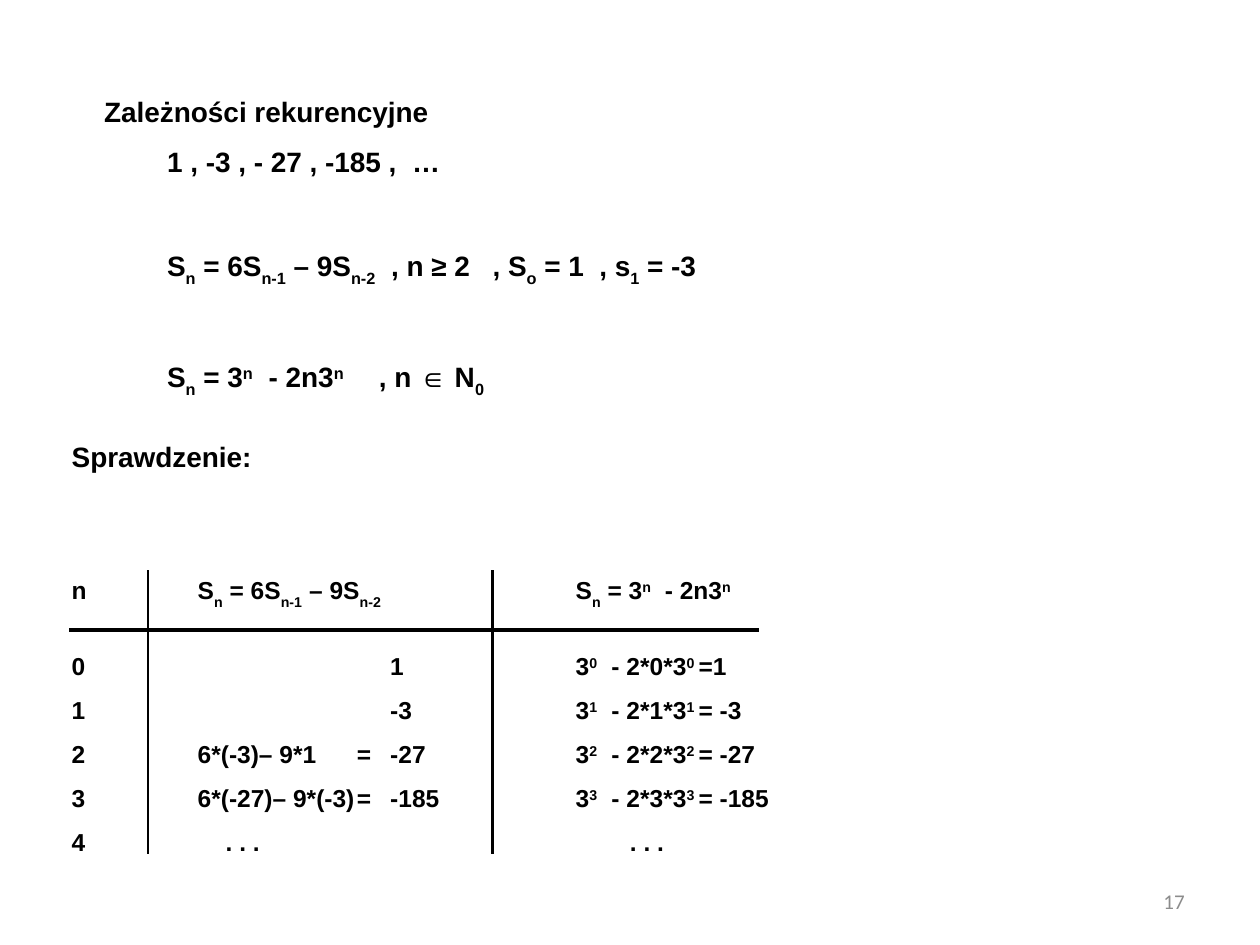
from dataclasses import dataclass

from lxml.etree import SubElement
from pptx import Presentation
from pptx.dml.color import RGBColor
from pptx.enum.shapes import MSO_CONNECTOR
from pptx.enum.text import MSO_ANCHOR, PP_ALIGN
from pptx.oxml.ns import qn
from pptx.util import Pt


@dataclass(frozen=True)
class Theme:
    ink: str = "000000"
    gray: str = "8C8C8C"
    font: str = "Arial"
    foot: str = "Calibri"
    large: float = 16
    cell: float = 14
    small: float = 12
    thin: float = 1.5
    thick: float = 2


THEME = Theme()
SHIFT = {"_": "-30000", "^": "30000"}


def write(frame, text, size=THEME.large, font=THEME.font, color=THEME.ink,
          bold=True, align=PP_ALIGN.LEFT, before=0, indent=0, tabs=()):
    para = frame.paragraphs[0]
    if para.runs:
        para = frame.add_paragraph()
    para.alignment = align
    para.space_before = Pt(before)
    props = para._p.get_or_add_pPr()
    if indent:
        props.set("marL", str(Pt(indent)))
        props.set("indent", "0")
    if tabs:
        stops = SubElement(props, qn("a:tabLst"))
        for stop in tabs:
            SubElement(stops, qn("a:tab"), pos=str(Pt(stop)), algn="l")
    for i, part in enumerate(text.split("|")):
        if not part:
            continue
        run = para.add_run()
        run.text = part[1:] if i % 2 else part
        run.font.size = Pt(size)
        run.font.name = font
        run.font.bold = bold
        run.font.color.rgb = RGBColor.from_string(color)
        if i % 2:
            run._r.get_or_add_rPr().set("baseline", SHIFT[part[0]])


def add_frame(slide, box, anchor=MSO_ANCHOR.TOP):
    frame = slide.shapes.add_textbox(*map(Pt, box)).text_frame
    frame.word_wrap = True
    frame.margin_left = frame.margin_right = 0
    frame.margin_top = frame.margin_bottom = 0
    frame.vertical_anchor = anchor
    return frame


def add_title(slide, box, text):
    write(add_frame(slide, box), text)


def add_rules(slide, box):
    frame = add_frame(slide, box)
    write(frame, "1 , -3 , - 27 , -185 ,\t…", tabs=(140,))
    write(frame, "S|_n| = 6S|_n-1| – 9S|_n-2|\t, n ≥ 2\t, S|_o| = 1\t, s|_1| = -3",
          before=40.3, tabs=(128, 186, 247))
    write(frame, "S|_n| = 3|^n|\t- 2n3|^n|\t, n ∈ N|_0|",
          before=41, tabs=(58, 121))


def add_line(slide, ends, width):
    line = slide.shapes.add_connector(MSO_CONNECTOR.STRAIGHT, *map(Pt, ends))
    line.line.color.rgb = RGBColor.from_string(THEME.ink)
    line.line.width = Pt(width)
    SubElement(line._element.spPr, qn("a:effectLst"))


def add_check(slide, box):
    left, top, width, height = box
    sums = ("\t\t1", "\t\t-3", "6*(-3)– 9*1\t=\t-27", "6*(-27)– 9*(-3)\t=\t-185")
    ends = ("=1", "= -3", "= -27", "= -185")
    rows = [("n", "S|_n| = 6S|_n-1| – 9S|_n-2|", "S|_n| = 3|^n|\t- 2n3|^n|")]
    rows += [(str(n), step, f"3|^{n}|\t- 2*{n}*3|^{n} |{end}")
             for n, (step, end) in enumerate(zip(sums, ends))]
    rows.append(("4", ". . .", ". . ."))

    grid = slide.shapes.add_table(len(rows), 3, *map(Pt, box)).table
    grid.first_row = grid.horz_banding = False
    for col, wide in zip(grid.columns, (45, 197, width - 242)):
        col.width = Pt(wide)
    for r, row in enumerate(rows):
        grid.rows[r].height = Pt((34, 34.5)[r] if r < 2 else 25.2)
        for c, text in enumerate(row):
            cell = grid.cell(r, c)
            cell.margin_left = Pt((1.5, 28.5, 47.5)[c])
            cell.margin_top = Pt(13.5 if r == 1 else 4)
            cell.margin_right = cell.margin_bottom = 0
            cell.fill.background()
            tabs = ((), (91, 110), (51,) if r == 0 else (20.5,))[c]
            indent = (0, 16, 31)[c] if r == len(rows) - 1 else 0
            write(cell.text_frame, text, size=THEME.cell, indent=indent,
                  tabs=() if indent else tabs)

    for x in (left + 45, left + 242):
        add_line(slide, (x, top, x, top + 162), THEME.thin)
    add_line(slide, (left, top + 34, left + 394, top + 34), THEME.thick)


def add_foot(slide, box, text):
    write(add_frame(slide, box, MSO_ANCHOR.MIDDLE), text, size=THEME.small,
          font=THEME.foot, color=THEME.gray, bold=False, align=PP_ALIGN.RIGHT)


def main():
    deck = Presentation()
    deck.slide_width, deck.slide_height = Pt(720), Pt(540)
    slide = deck.slides.add_slide(deck.slide_layouts[6])
    add_title(slide, (59.5, 54, 540, 20), "Zależności rekurencyjne")
    add_rules(slide, (95.5, 82.4, 504, 145))
    add_title(slide, (41, 251, 150, 20), "Sprawdzenie:")
    add_check(slide, (39.5, 326, 410, 169.3))
    add_foot(slide, (516, 500.5, 161, 29), "17")
    deck.save("out.pptx")


if __name__ == "__main__":
    main()
